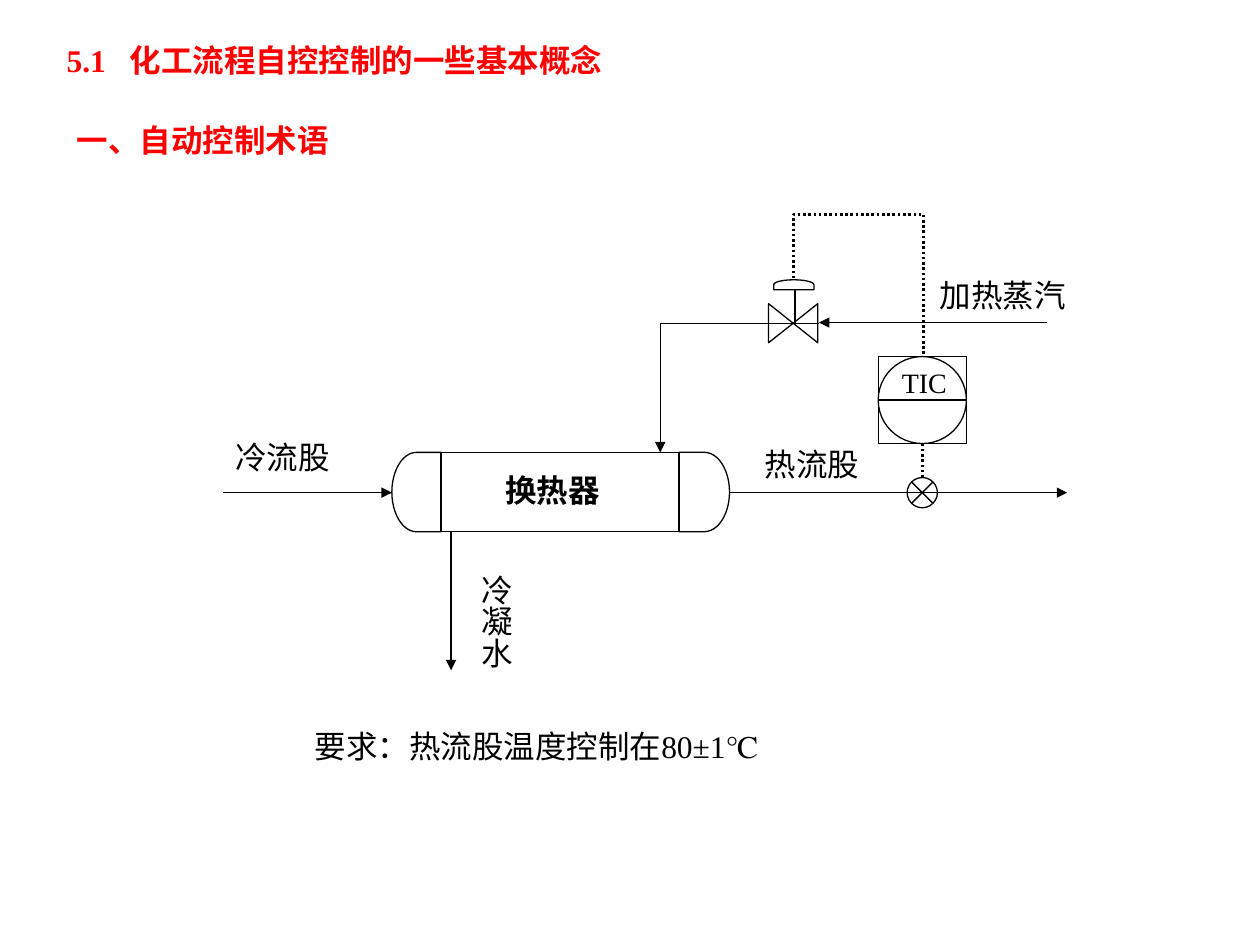
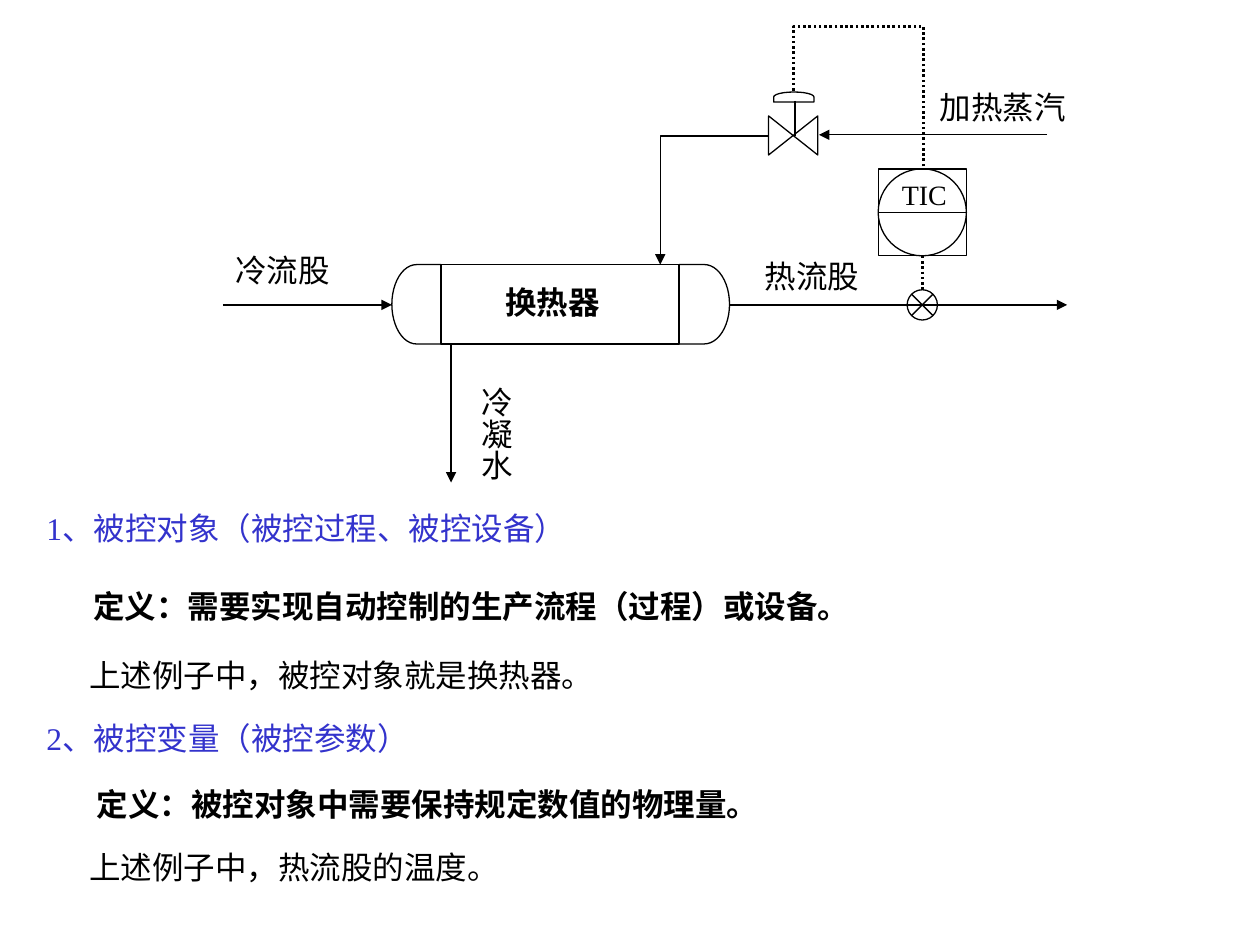
from lxml import etree
from pptx import Presentation
from pptx.dml.color import RGBColor
from pptx.enum import dml, shapes, text
from pptx.oxml.ns import qn
from pptx.util import Inches, Pt

BLACK = RGBColor(0x00, 0x00, 0x00)
RED = RGBColor(0xFF, 0x00, 0x00)
BLUE = RGBColor(0x33, 0x33, 0xCC)
FONT = "Times New Roman"
SHAPE = shapes.MSO_SHAPE

BODY = {"name": FONT, "size": Pt(18), "bold": False}
BOLD = {**BODY, "bold": True}
SMALL = {**BODY, "size": Pt(16)}


class Sheet:
    """Draws on the current slide, shifted down by dy inches."""

    def __init__(self, prs):
        self.prs = prs
        self.new_slide()

    def new_slide(self, dy=0):
        self.s = self.prs.slides.add_slide(self.prs.slide_layouts[6])
        self.dy = dy

    def point(self, x, y):
        return Inches(x), Inches(y + self.dy)

    def outline(self, sp, dotted=False, arrow=False):
        sp.line.color.rgb = BLACK
        sp.line.width = Pt(1.5 if dotted else 0.75)
        if dotted:
            sp.line.dash_style = dml.MSO_LINE.ROUND_DOT
        if arrow:
            ln = sp.element.spPr.find(qn("a:ln"))
            etree.SubElement(ln, qn("a:tailEnd"), type="triangle")

    def shape(self, kind, x, y, w, h, rotation=0):
        sp = self.s.shapes.add_shape(kind, *self.point(x, y), Inches(w), Inches(h))
        sp.rotation = rotation
        sp.shadow.inherit = False
        sp.fill.background()
        self.outline(sp)
        return sp

    def line(self, start, end, begin=None, finish=None, **style):
        """begin and finish are (shape, side) pairs to join the line to."""
        c = self.s.shapes.add_connector(
            shapes.MSO_CONNECTOR.STRAIGHT, *self.point(*start), *self.point(*end))
        if begin:
            c.begin_connect(*begin)
        if finish:
            c.end_connect(*finish)
        self.outline(c, **style)
        etree.SubElement(c.element.spPr, qn("a:effectLst"))

    def polyline(self, points, **style):
        start, *rest = [self.point(*pt) for pt in points]
        builder = self.s.shapes.build_freeform(*start)
        builder.add_line_segments(rest, close=False)
        sp = builder.convert_to_shape()
        sp.shadow.inherit = False
        sp.fill.background()
        self.outline(sp, **style)

    def text(self, words, x, y, w, h=0.4, style=BODY, color=BLACK, vertical=False, tab=None):
        sp = self.s.shapes.add_textbox(*self.point(x, y), Inches(w), Inches(h))
        tf = sp.text_frame
        tf.word_wrap = True
        tf.auto_size = text.MSO_AUTO_SIZE.SHAPE_TO_FIT_TEXT
        if vertical:
            tf.margin_left = tf.margin_right = Inches(0.05)
            tf.margin_top = tf.margin_bottom = Inches(0.1)
            sp.element.txBody.bodyPr.set("vert", "eaVert")
        p = tf.paragraphs[0]
        if tab:
            tabs = etree.SubElement(p._p.get_or_add_pPr(), qn("a:tabLst"))
            etree.SubElement(tabs, qn("a:tab"), pos=str(Inches(tab)), algn="l")
        r = p.add_run()
        r.text = words
        for name, value in style.items():
            setattr(r.font, name, value)
        r.font.color.rgb = color

    def exchanger(self):
        top, height = 3.59, 0.63
        self.shape(SHAPE.FLOWCHART_DELAY, 3.11, top, 0.39, height, 180)
        self.shape(SHAPE.FLOWCHART_DELAY, 5.39, top, 0.4, height)
        self.shape(SHAPE.RECTANGLE, 3.5, top, 1.89, height)
        self.text("换热器", 3.91, 3.69, 1.02, style=BOLD)

    def streams(self, steam_start):
        for start, end in [((1.77, 3.91), (3.11, 3.91)),
                           ((5.79, 3.91), (8.47, 3.91)),
                           ((8.31, 2.56), (6.5, 2.56)),
                           ((3.58, 4.22), (3.58, 5.32))]:
            self.line(start, end, arrow=True)
        self.polyline([(steam_start, 2.57), (5.24, 2.57), (5.24, 3.59)], arrow=True)
        for words, x, y, w in [("冷流股", 1.77, 3.43, 1.18),
                               ("热流股", 5.97, 3.48, 1.18),
                               ("加热蒸汽", 7.36, 2.14, 1.27)]:
            self.text(words, x, y, w)
        self.text("冷凝水", 3.64, 4.46, 0.5, 1.02, vertical=True)

    def valve(self):
        self.shape(SHAPE.FLOWCHART_COLLATE, 6.14, 2.37, 0.31, 0.39, 270)
        self.line((6.31, 2.29), (6.31, 2.57))
        self.shape(SHAPE.FLOWCHART_DELAY, 6.26, 2.1, 0.08, 0.32, 270)

    def controller(self):
        frame = self.shape(SHAPE.RECTANGLE, 6.97, 2.83, 0.7, 0.69)
        self.shape(SHAPE.OVAL, 6.97, 2.83, 0.7, 0.69)
        self.line((6.97, 3.17), (7.67, 3.17), (frame, 1), (frame, 3))
        self.text("TIC", 7.06, 2.85, 0.6, 0.37, SMALL)
        self.shape(SHAPE.FLOWCHART_SUMMING_JUNCTION, 7.2, 3.79, 0.24, 0.24)
        self.line((7.32, 3.52), (7.32, 3.8), (frame, 2), dotted=True)
        self.polyline([(7.33, 2.81), (7.33, 1.7), (6.3, 1.7), (6.3, 2.21)], dotted=True)

    def flow_diagram(self, steam_start):
        self.exchanger()
        self.streams(steam_start)
        self.valve()
        self.controller()


def main():
    prs = Presentation()
    prs.slide_width, prs.slide_height = Inches(10), Inches(7.5)

    sheet = Sheet(prs)
    sheet.text("5.1\t化工流程自控控制的一些基本概念", 0.43, 0.28, 6.85,
               style=BOLD, color=RED, tab=0.5)
    sheet.text("一、自动控制术语", 0.51, 0.91, 4.33, style=BOLD, color=RED)
    sheet.flow_diagram(steam_start=6.5)
    sheet.text("要求：热流股温度控制在80±1℃", 2.4, 5.72, 5.43)

    sheet.new_slide(dy=-1.49)
    sheet.flow_diagram(steam_start=6.1)
    sheet.dy = 0
    for words, x, y, w, style, color in [
        ("1、被控对象（被控过程、被控设备）", 0.27, 3.99, 6.77, BODY, BLUE),
        ("定义：需要实现自动控制的生产流程（过程）或设备。", 0.64, 4.61, 8.35, BOLD, BLACK),
        ("上述例子中，被控对象就是换热器。", 0.61, 5.16, 7.16, BODY, BLACK),
        ("2、被控变量（被控参数）", 0.27, 5.66, 6.77, BODY, BLUE),
        ("定义：被控对象中需要保持规定数值的物理量。", 0.67, 6.18, 8.35, BOLD, BLACK),
        ("上述例子中，热流股的温度。", 0.61, 6.68, 7.16, BODY, BLACK),
    ]:
        sheet.text(words, x, y, w, style=style, color=color)

    prs.save("out.pptx")


if __name__ == "__main__":
    main()
